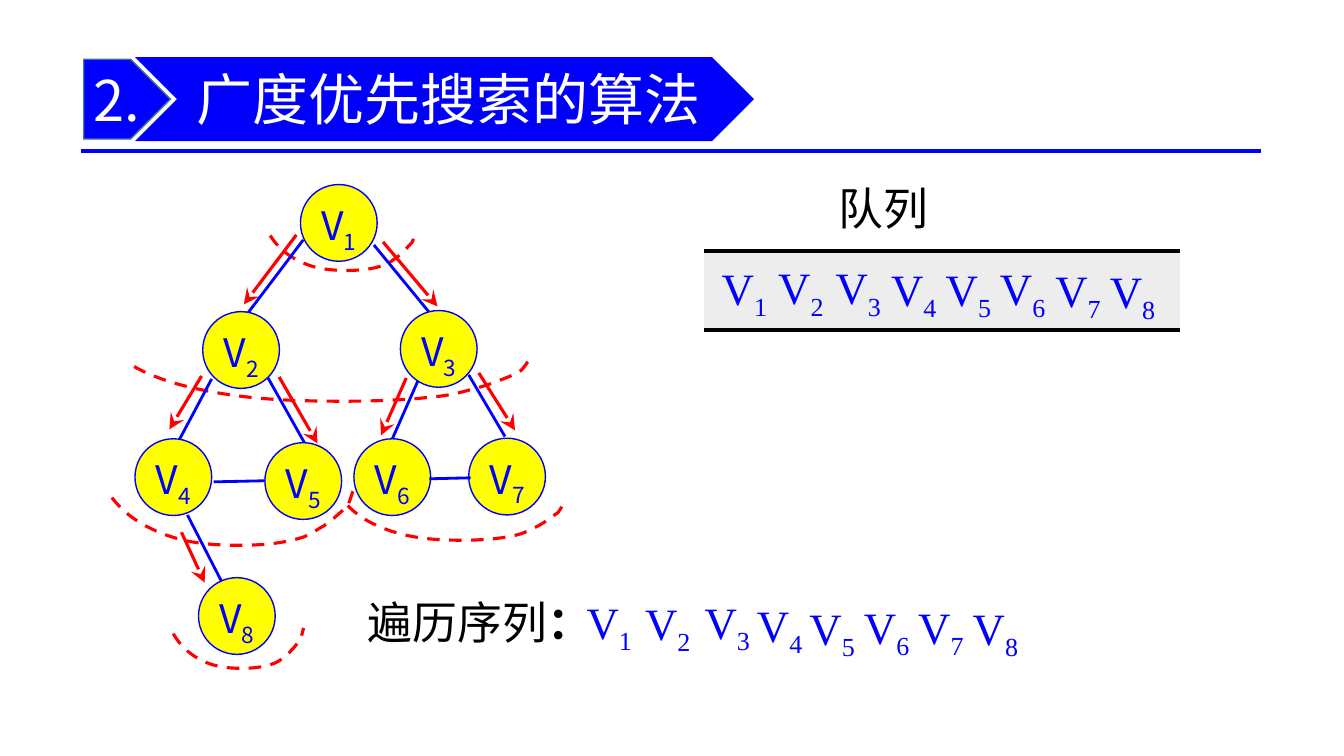
from dataclasses import dataclass

from lxml.etree import SubElement
from pptx import Presentation
from pptx.dml.color import RGBColor
from pptx.enum.dml import MSO_LINE
from pptx.enum.shapes import MSO_CONNECTOR, MSO_SHAPE
from pptx.enum.text import MSO_ANCHOR, MSO_AUTO_SIZE, PP_ALIGN
from pptx.oxml.ns import qn
from pptx.util import Pt


@dataclass(frozen=True)
class Theme:
    blue: str = "0000FF"
    banner: str = "0000FA"
    tag_line: str = "43739E"
    red: str = "FF0000"
    yellow: str = "FFFF00"
    grey: str = "EDEDED"
    black: str = "000000"
    white: str = "FFFFFF"
    sans: str = "Noto Sans CJK SC"
    serif: str = "Times New Roman"
    title: int = 40
    body: int = 32
    node: int = 28


THEME = Theme()
NODE_SIZE = 54.8

# Left and top of each vertex circle, V1 to V8
NODES = [(214.6, 131.8), (144.8, 222.6), (286, 221.8), (96.4, 313.4),
         (189.2, 316.2), (252.8, 313.4), (334.8, 313), (141.8, 412.6)]
TREE_EDGES = [(177.2, 223.4, 216.6, 171.4), (306.7, 223.2, 267.1, 175),
              (127.4, 315.4, 151.2, 270.7), (217.4, 316.1, 191.5, 270),
              (279.4, 315.4, 298.8, 271.4), (360.7, 311.8, 334.8, 267.8),
              (159.1, 416.9, 133.9, 367.9)]
SIBLING_LINKS = [(152.6, 344.2, 189.4, 343.4), (306.7, 342, 336.2, 341.3)]
VISITS = [(211.7, 167.8, 174.2, 217.4), (273.6, 172.8, 312.5, 218.9),
          (144, 268.6, 121, 306.7), (199.4, 269.3, 226.8, 316.8),
          (290.2, 270, 272.2, 311), (342, 266.4, 367.9, 307.4),
          (129.6, 380.2, 146.2, 416.2)]
# Left, top, width and height of the dashed level curves
LEVELS = [(193, 164.2, 104.4, 29), (95.8, 257.8, 282.2, 28.8),
          (79.9, 349.9, 172.8, 39.6), (248.4, 357.1, 155, 28.8),
          (123.8, 448.6, 93.2, 28.8)]
# Bezier points of one level curve in a unit box
LEVEL_CURVE = [(0, .14), (.03, .31), (.07, .47), (.12, .6), (.17, .73),
               (.23, .84), (.3, .91), (.37, .98), (.45, 1), (.53, 1),
               (.6, 1), (.69, .97), (.74, .91), (.8, .86), (.82, .8),
               (.86, .69), (.9, .6), (.94, .42), (.97, .31), (.99, .18),
               (.99, .06), (1, 0)]
QUEUE = [(514, 185.6), (554.4, 185.1), (595.4, 185.1), (635, 186.3),
         (674, 186.3), (712.8, 185.8), (752.3, 187), (791.3, 187.8)]
SEQUENCE = [(417.5, 424), (459.3, 424.8), (501.8, 424), (539.2, 426.2),
            (576.7, 428.4), (615.6, 427.6), (654.4, 427.6), (693.3, 428.4)]


def rgb(color):
    return RGBColor.from_string(color)


def write(sp, runs, font, size, color, insets=(7.2, 3.6, 7.2, 3.6),
          anchor=MSO_ANCHOR.TOP, align=PP_ALIGN.LEFT):
    """Fill the first paragraph and return it with its runs."""
    tf = sp.text_frame
    tf.word_wrap = True
    tf.vertical_anchor = anchor
    tf.margin_left, tf.margin_top, tf.margin_right, tf.margin_bottom = map(Pt, insets)
    p = tf.paragraphs[0]
    p.alignment = align
    p.font.name, p.font.size = font, Pt(size)
    p.font.color.rgb = rgb(color)
    defaults = p._p.pPr.find(qn("a:defRPr"))
    SubElement(defaults, qn("a:ea"), typeface=font)
    for text in runs:
        p.add_run().text = text
    return p


def lower_last(p):
    p.runs[-1]._r.get_or_add_rPr().set("baseline", "-25000")


def add_text(s, box, runs, font, size, color, grow=True, **layout):
    sp = s.shapes.add_textbox(*map(Pt, box))
    p = write(sp, runs, font, size, color, **layout)
    if grow:
        sp.text_frame.auto_size = MSO_AUTO_SIZE.SHAPE_TO_FIT_TEXT
    return p


def add_block(s, kind, box, fill, line=None, width=1):
    sp = s.shapes.add_shape(kind, *map(Pt, box))
    sp.shadow.inherit = False
    sp.fill.solid()
    sp.fill.fore_color.rgb = rgb(fill)
    if line:
        sp.line.color.rgb = rgb(line)
        sp.line.width = Pt(width)
        SubElement(sp.line._get_or_add_ln(), qn("a:miter"), lim="800000")
    else:
        sp.line.fill.background()
    return sp


def add_line(s, ends, color, width, arrow=False):
    c = s.shapes.add_connector(MSO_CONNECTOR.STRAIGHT, *map(Pt, ends))
    c.line.color.rgb = rgb(color)
    c.line.width = Pt(width)
    if arrow:
        SubElement(c.line._get_or_add_ln(), qn("a:tailEnd"),
                   type="stealth", w="lg", len="lg")
    SubElement(c._element.spPr, qn("a:effectLst"))


def round_off(sp):
    """Turn each three line segments of a freeform into one Bezier curve."""
    outline = next(sp._element.iter(qn("a:path")))
    segments = outline.findall(qn("a:lnTo"))
    for i in range(0, len(segments), 3):
        curve = SubElement(outline, qn("a:cubicBezTo"))
        for segment in segments[i:i + 3]:
            curve.append(segment[0])
            outline.remove(segment)


def add_level(s, left, top, width, height):
    points = [(Pt(left + x * width), Pt(top + y * height))
              for x, y in LEVEL_CURVE]
    fb = s.shapes.build_freeform(*points[0])
    fb.add_line_segments(points[1:], close=False)
    sp = fb.convert_to_shape()
    round_off(sp)
    sp.shadow.inherit = False
    sp.fill.background()
    sp.line.color.rgb = rgb(THEME.red)
    sp.line.width = Pt(2.25)
    sp.line.dash_style = MSO_LINE.DASH


def add_node(s, number, left, top):
    sp = add_block(s, MSO_SHAPE.OVAL, (left, top, NODE_SIZE, NODE_SIZE),
                   THEME.yellow, THEME.blue)
    p = write(sp, ("V", str(number)), THEME.sans, THEME.node, THEME.blue,
              (0, 8.6, 0, 0), MSO_ANCHOR.MIDDLE, PP_ALIGN.CENTER)
    p.line_spacing = .72
    lower_last(p)


def add_labels(s, places):
    for number, (left, top) in enumerate(places, 1):
        p = add_text(s, (left, top, 44.5, 40), ("V", str(number)), THEME.serif,
                     THEME.body, THEME.blue, insets=(1.5, .7, 1.5, .7))
        lower_last(p)


def add_header(s):
    add_line(s, (58.2, 108, 900.8, 108), THEME.blue, 3)
    tag = add_block(s, MSO_SHAPE.PENTAGON, (59.8, 42.3, 62, 57),
                    THEME.blue, THEME.tag_line)
    write(tag, ["2."], THEME.sans, THEME.title, THEME.white,
          anchor=MSO_ANCHOR.MIDDLE)
    add_block(s, MSO_SHAPE.CHEVRON, (100, 42.3, 436.4, 57),
              THEME.banner, THEME.blue, 3)
    add_text(s, (137.5, 31, 363.6, 78), ["广度优先搜索的算法"], THEME.sans,
             THEME.title, THEME.white, grow=False,
             insets=(2.9, 1.4, 0, 1.4), anchor=MSO_ANCHOR.MIDDLE)


def main():
    prs = Presentation()
    prs.slide_width, prs.slide_height = Pt(960), Pt(540)
    s = prs.slides.add_slide(prs.slide_layouts[6])

    add_header(s)

    # Queue
    add_block(s, MSO_SHAPE.RECTANGLE, (502.8, 178, 340, 57.6), THEME.grey)
    for y in (179.4, 236):
        add_line(s, (502.8, y, 843, y), THEME.black, 3)
    add_text(s, (592, 125.4, 162, 46), ["队列"], THEME.sans, THEME.body, THEME.black)
    add_labels(s, QUEUE)

    # Traversal sequence
    p = add_text(s, (255.6, 421.2, 162, 46), ["遍历序列", "："], THEME.sans,
                 THEME.body, THEME.black)
    p.runs[-1].font.bold = True
    add_labels(s, SEQUENCE)

    # Levels and visiting order
    for level in LEVELS:
        add_level(s, *level)
    for visit in VISITS:
        add_line(s, visit, THEME.red, 2.25, arrow=True)

    # Graph
    for edge in TREE_EDGES:
        add_line(s, edge, THEME.blue, 2)
    for number, place in enumerate(NODES, 1):
        add_node(s, number, *place)
    for link in SIBLING_LINKS:
        add_line(s, link, THEME.blue, 2)

    prs.save("out.pptx")


if __name__ == "__main__":
    main()
